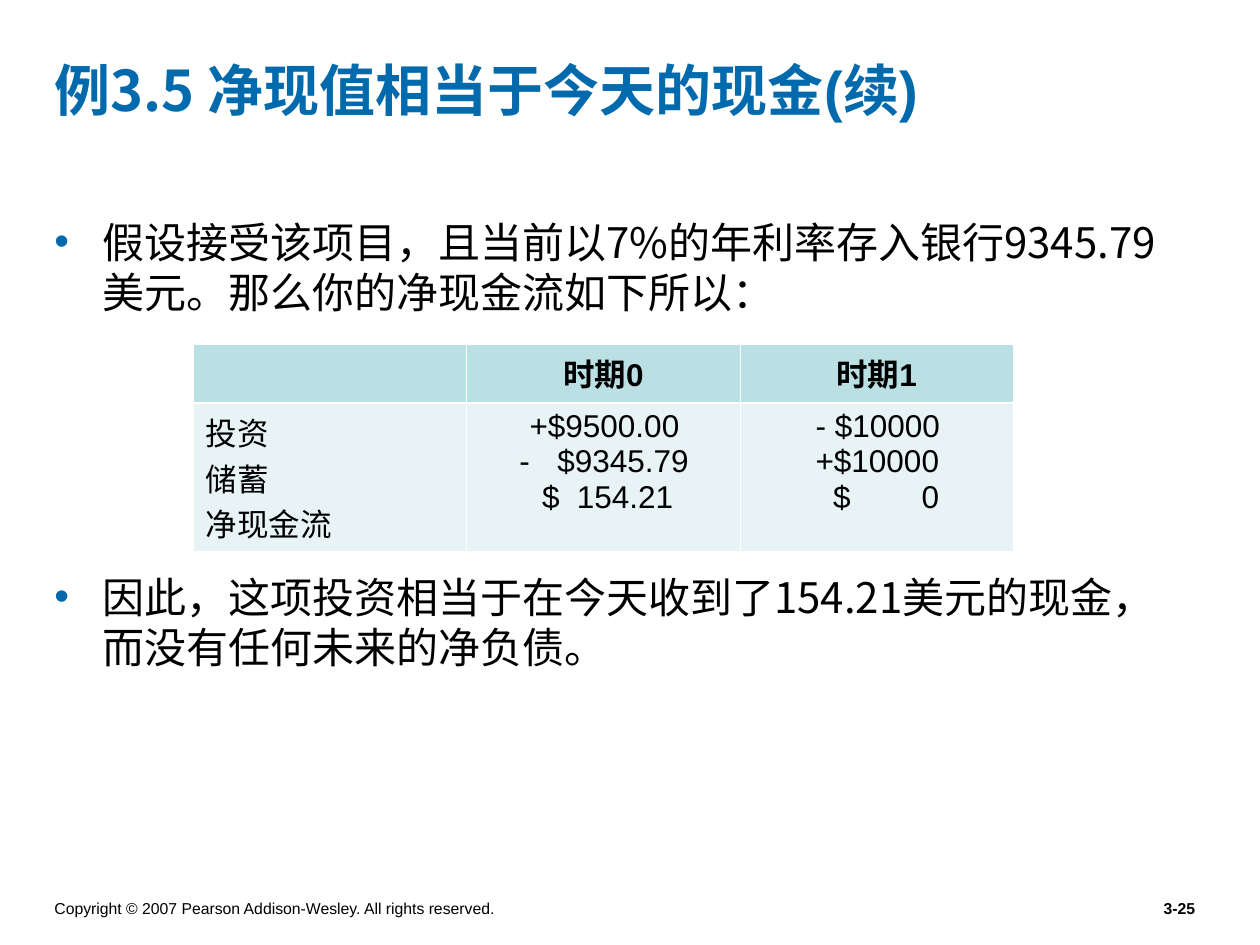
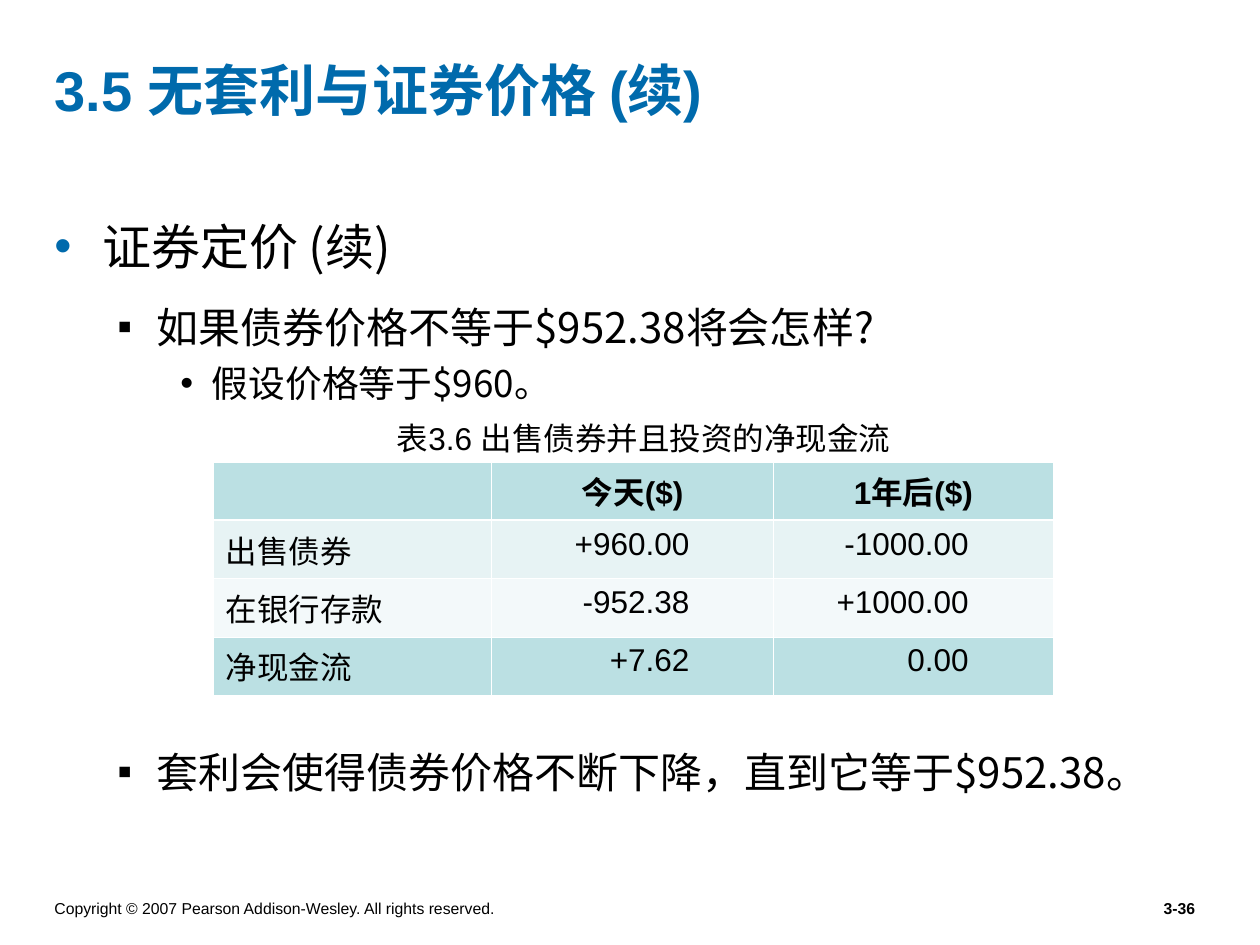
from lxml.etree import SubElement
from pptx import Presentation
from pptx.dml.color import RGBColor
from pptx.enum.text import MSO_ANCHOR, PP_ALIGN
from pptx.oxml.ns import qn
from pptx.util import Inches, Pt

THEME = {
    "blue": "006AAC", "black": "000000", "white": "FFFFFF",
    "teal": "BBE0E3", "pale": "E7F3F4", "paler": "F3F9FA",
    "latin": "Arial", "chinese": "Noto Sans CJK SC", "title_chinese": "Noto Sans CJK JP",
    "title": 32, "lead": 28, "body": 24, "detail": 21, "table": 18, "footer": 9,
    "thin": 0.45, "thick": 1.47,
}

presentation = Presentation()
presentation.slide_width, presentation.slide_height = Inches(10), Inches(7.5)
column = presentation.slide_width / 120
row = presentation.slide_height / 90


def write_paragraph(paragraph, runs, size, color="black", bold=False, bullet=None, tabs=(), **formats):
    properties = paragraph._p.get_or_add_pPr()
    if bullet:
        symbol, bullet_color, left, hanging = bullet
        properties.set("marL", str(Inches(left)))
        properties.set("indent", str(-Inches(hanging)))
        SubElement(SubElement(properties, qn("a:buClr")), qn("a:srgbClr"), val=THEME[bullet_color])
        SubElement(properties, qn("a:buFont"), typeface=THEME["latin"])
        SubElement(properties, qn("a:buChar"), char=symbol)
    if tabs:
        tab_list = SubElement(properties, qn("a:tabLst"))
        for position, side in tabs:
            SubElement(tab_list, qn("a:tab"), pos=str(Inches(position)), algn=side)
    for name, value in formats.items():
        setattr(paragraph, name, value)
    for text, latin, chinese in runs:
        run = paragraph.add_run()
        run.text = text
        values = {"name": THEME[latin], "size": Pt(THEME[size]), "bold": bold}
        for name, value in values.items():
            setattr(run.font, name, value)
        run.font.color.rgb = RGBColor.from_string(THEME[color])
        SubElement(run._r.get_or_add_rPr(), qn("a:ea"), typeface=THEME[chinese])


def add_text_frame(slide, left, top, width, height, **formats):
    shape = slide.shapes.add_textbox(
        round(left * column), round(top * row), round(width * column), round(height * row))
    for name, value in {"word_wrap": True, **formats}.items():
        setattr(shape.text_frame, name, value)
    return shape.text_frame


bullets = {
    "lead": ("•", "blue", 0.38, 0.38),
    "body": ("▪", "black", 0.81, 0.31),
    "detail": ("•", "black", 1.25, 0.25),
}
plain = {"margin_left": Inches(0.1)}
header = {"bold": True, "alignment": PP_ALIGN.CENTER}
number = {"margin_right": Inches(0.67), "alignment": PP_ALIGN.RIGHT}

pages = [
    {
        "number": "3-25",
        "title": [("例3.5 净现值相当于今天的现金", "title_chinese", "title_chinese"),
                  ("(续)", "latin", "chinese")],
        "body": [
            ("假设接受该项目，且当前以7%的年利率存入银行9345.79美元。那么你的净现金流如下所以：",
             "body", "lead", 0),
            ("因此，这项投资相当于在今天收到了154.21美元的现金，而没有任何未来的净负债。",
             "body", "lead", 145.2),
        ],
        "table": {
            "place": (18.4, 32.75), "widths": [26.04] * 3, "heights": [5.6, 14.2],
            "fills": ["teal", "pale"],
            "cells": [
                [([], plain), (["时期0"], header), (["时期1"], header)],
                [
                    (["投资", "储蓄", "净现金流"], plain),
                    (["\t+$9500.00", "-\t$9345.79", "\t$\t154.21"],
                     {"margin_left": Inches(0.42),
                      "tabs": [[(0.08, "l")], [(0.3, "l")], [(0.18, "l"), (1.22, "r")]]}),
                    (["- $10000", "+$10000", "\t$\t0"],
                     {"margin_left": Inches(0.6),
                      "tabs": [[], [], [(0.14, "l"), (0.98, "r")]]}),
                ],
            ],
        },
    },
    {
        "number": "3-36",
        "title": [("3.5 无套利与证券价格 (续)", "latin", "chinese")],
        "body": [
            ("证券定价 (续)", "lead", "lead", 0),
            ("如果债券价格不等于$952.38将会怎样?", "body", "body", 15),
            ("假设价格等于$960。", "detail", "detail", 5.2),
            ("套利会使得债券价格不断下降，直到它等于$952.38。", "body", "body", 195),
        ],
        "caption": "表3.6 出售债券并且投资的净现金流",
        "table": {
            "place": (20.3, 44), "widths": [26.5, 26.9, 26.6], "heights": [5.56] * 4,
            "fills": ["teal", "pale", "paler", "teal"],
            "cells": [
                [([], plain), (["今天($)"], header), (["1年后($)"], header)],
                [(["出售债券"], plain), (["+960.00"], number), (["-1000.00"], number)],
                [(["在银行存款"], plain), (["-952.38"], number), (["+1000.00"], number)],
                [(["净现金流"], plain), (["+7.62"], number), (["0.00"], number)],
            ],
        },
    },
]

for page in pages:
    slide = presentation.slides.add_slide(presentation.slide_layouts[6])

    title_frame = add_text_frame(slide, 4, 1, 111, 15, vertical_anchor=MSO_ANCHOR.MIDDLE)
    write_paragraph(title_frame.paragraphs[0], page["title"], "title", "blue", True)

    body_frame = add_text_frame(slide, 4, 20, 111, 63)
    for index, (text, size, level, space) in enumerate(page["body"]):
        paragraph = body_frame.add_paragraph() if index else body_frame.paragraphs[0]
        write_paragraph(paragraph, [(text, "chinese", "chinese")], size, bullet=bullets[level],
                        space_before=Pt(space), line_spacing=Pt(1.2 * THEME[size]))

    copyright_frame = add_text_frame(slide, 4, 85, 52, 3, vertical_anchor=MSO_ANCHOR.BOTTOM)
    write_paragraph(
        copyright_frame.paragraphs[0],
        [("Copyright © 2007 Pearson Addison-Wesley. All rights reserved.", "latin", "chinese")],
        "footer")
    number_frame = add_text_frame(slide, 90, 85, 25, 3)
    write_paragraph(number_frame.paragraphs[0], [(page["number"], "latin", "chinese")],
                    "footer", bold=True, alignment=PP_ALIGN.RIGHT)

    layout = page["table"]
    left, top = layout["place"]
    table = slide.shapes.add_table(
        len(layout["heights"]), len(layout["widths"]), round(left * column), round(top * row),
        round(sum(layout["widths"]) * column), round(sum(layout["heights"]) * row)).table
    for table_column, width in zip(table.columns, layout["widths"]):
        table_column.width = round(width * column)
    for table_row, height in zip(table.rows, layout["heights"]):
        table_row.height = round(height * row)

    for row_index, cells in enumerate(layout["cells"]):
        for column_index, (lines, formats) in enumerate(cells):
            cell = table.cell(row_index, column_index)
            for name in ("margin_left", "margin_right"):
                setattr(cell, name, formats.get(name, Inches(0.1)))
            properties = cell._tc.get_or_add_tcPr()
            thick_side = {0: "lnB", 1: "lnT"}.get(row_index)
            for side in ("lnL", "lnR", "lnT", "lnB"):
                weight = THEME["thick" if side == thick_side else "thin"]
                border = SubElement(properties, qn("a:" + side), w=str(Pt(weight)))
                SubElement(SubElement(border, qn("a:solidFill")), qn("a:srgbClr"), val=THEME["white"])
            cell.fill.solid()
            cell.fill.fore_color.rgb = RGBColor.from_string(THEME[layout["fills"][row_index]])
            for index, text in enumerate(lines):
                paragraph = cell.text_frame.add_paragraph() if index else cell.text_frame.paragraphs[0]
                write_paragraph(paragraph, [(text, "latin", "chinese")], "table",
                                bold=formats.get("bold", False),
                                tabs=formats["tabs"][index] if "tabs" in formats else (),
                                alignment=formats.get("alignment", PP_ALIGN.LEFT))

    if "caption" in page:
        caption_frame = add_text_frame(slide, 17.5, 39.3, 75.6, 4.8, margin_left=Inches(1.1))
        write_paragraph(caption_frame.paragraphs[0], [(page["caption"], "latin", "chinese")],
                        "table", alignment=PP_ALIGN.CENTER)

presentation.save("out.pptx")
